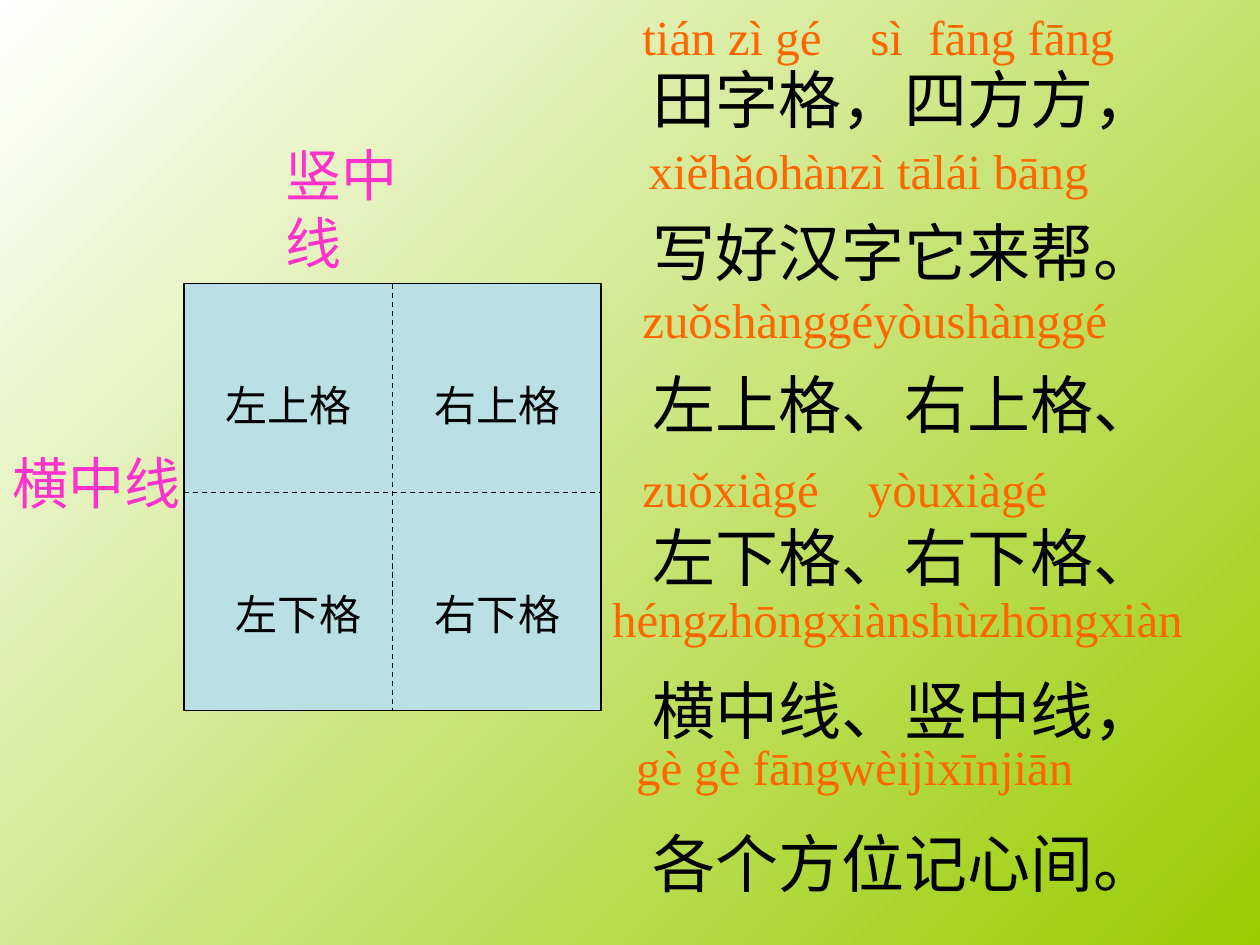
import pptx
import pptx.dml.color
import pptx.enum.dml
import pptx.enum.shapes
import pptx.enum.text
import pptx.oxml.ns
import pptx.util
from lxml import etree
from pptx.util import Inches

COLORS = {
    "green": "99CC00",
    "white": "FFFFFF",
    "grid": "BBE0E3",
    "ink": "000000",
    "pink": "FF33CC",
    "orange": "FF6600",
}
FONT = "Times New Roman"
GRID_LEFT, GRID_TOP, GRID_WIDTH, GRID_HEIGHT = 1.46, 2.25, 3.31, 3.39

VERSE = [
    "田字格，四方方，",
    "写好汉字它来帮。",
    "左上格、右上格、",
    "左下格、右下格、",
    "横中线、竖中线，",
    "各个方位记心间。",
]
PINYIN = [
    ("tián zì gé\tsì\tfāng fāng", 5, 0, 5, 0, [1.81, 2.27]),
    ("xiěhǎohànzì tālái bāng", 4.76, 1.07, 5.04, 0.29, []),
    ("zuǒshànggéyòushànggé", 5, 2.25, 5, 0, []),
    ("zuǒxiàgé\tyòuxiàgé", 5, 3.59, 5, 0, [1.79]),
    ("héngzhōngxiànshùzhōngxiàn", 4.76, 4.62, 5.24, 0, []),
    ("gè gè fāngwèijìxīnjiān", 4.76, 5.8, 5.24, 0.19, []),
]
CELL_NAMES = [
    ("右下格", 3.35, 4.62),
    ("左下格", 1.77, 4.62),
    ("右上格", 3.35, 2.96),
    ("左上格", 1.69, 2.96),
]


def rgb(name):
    return pptx.dml.color.RGBColor.from_string(COLORS[name])


def paint_background(slide):
    fill = slide.background.fill
    fill.gradient()
    fill.gradient_angle = 135
    for stop, position, color in zip(fill.gradient_stops, (0, 1), ("green", "white")):
        stop.position = position
        stop.color.rgb = rgb(color)


def set_indent_and_tabs(paragraph, indent, tabs):
    properties = paragraph._p.get_or_add_pPr()
    if indent:
        properties.set("marL", str(Inches(indent)))
    if tabs:
        tab_list = etree.SubElement(properties, pptx.oxml.ns.qn("a:tabLst"))
        for position in tabs:
            etree.SubElement(tab_list, pptx.oxml.ns.qn("a:tab"),
                             pos=str(Inches(position)), algn="l")


def add_text(slide, lines, left, top, width, height, size, color,
             wrap=True, spacing=None, before=0, indent=0, tabs=()):
    box = slide.shapes.add_textbox(Inches(left), Inches(top), Inches(width), Inches(height))
    frame = box.text_frame
    frame.word_wrap = wrap
    frame.auto_size = pptx.enum.text.MSO_AUTO_SIZE.SHAPE_TO_FIT_TEXT
    for number, line in enumerate(lines):
        paragraph = frame.add_paragraph() if number else frame.paragraphs[0]
        paragraph.text = line
        if spacing:
            paragraph.line_spacing = spacing
        if number:
            paragraph.space_before = pptx.util.Pt(before)
        set_indent_and_tabs(paragraph, indent, tabs)
        paragraph.font.name = FONT
        paragraph.font.size = pptx.util.Pt(size)
        paragraph.font.color.rgb = rgb(color)


def add_grid_square(slide):
    square = slide.shapes.add_shape(
        pptx.enum.shapes.MSO_SHAPE.RECTANGLE,
        Inches(GRID_LEFT), Inches(GRID_TOP), Inches(GRID_WIDTH), Inches(GRID_HEIGHT))
    square.shadow.inherit = False
    square.fill.solid()
    square.fill.fore_color.rgb = rgb("grid")
    square.line.color.rgb = rgb("ink")
    square.line.width = pptx.util.Pt(0.75)
    return square


def add_dashed_line(slide, x1, y1, x2, y2):
    dashed = slide.shapes.add_connector(
        pptx.enum.shapes.MSO_CONNECTOR.STRAIGHT,
        Inches(x1), Inches(y1), Inches(x2), Inches(y2))
    dashed.line.color.rgb = rgb("ink")
    dashed.line.width = pptx.util.Pt(0.75)
    dashed.line.dash_style = pptx.enum.dml.MSO_LINE.DASH
    etree.SubElement(dashed._element.spPr, pptx.oxml.ns.qn("a:effectLst"))
    return dashed


def main():
    deck = pptx.Presentation()
    deck.slide_width, deck.slide_height = Inches(10), Inches(7.5)
    slide = deck.slides.add_slide(deck.slide_layouts[6])
    paint_background(slide)
    square = add_grid_square(slide)

    add_text(slide, ["横中线"], 0, 3.51, 1.57, 0.64, 32, "pink")
    add_text(slide, ["竖中线"], 2.17, 1.07, 1.53, 0.64, 32, "pink", wrap=False)
    add_text(slide, VERSE, 5.08, 0.13, 5.2, 7.07, 36, "ink", spacing=1.5, before=22.5)
    for line, left, top, width, indent, tabs in PINYIN:
        add_text(slide, [line], left, top, width, 0.57, 28, "orange",
                 indent=indent, tabs=tabs)
    for name, left, top in CELL_NAMES:
        add_text(slide, [name], left, top, 1.26, 0.5, 24, "ink")

    add_dashed_line(slide, GRID_LEFT, 3.91, 4.76, 3.91)
    middle = GRID_LEFT + GRID_WIDTH / 2
    vertical = add_dashed_line(slide, middle, GRID_TOP, middle, GRID_TOP + GRID_HEIGHT)
    vertical.begin_connect(square, 0)
    vertical.end_connect(square, 2)

    deck.save("out.pptx")


if __name__ == "__main__":
    main()
